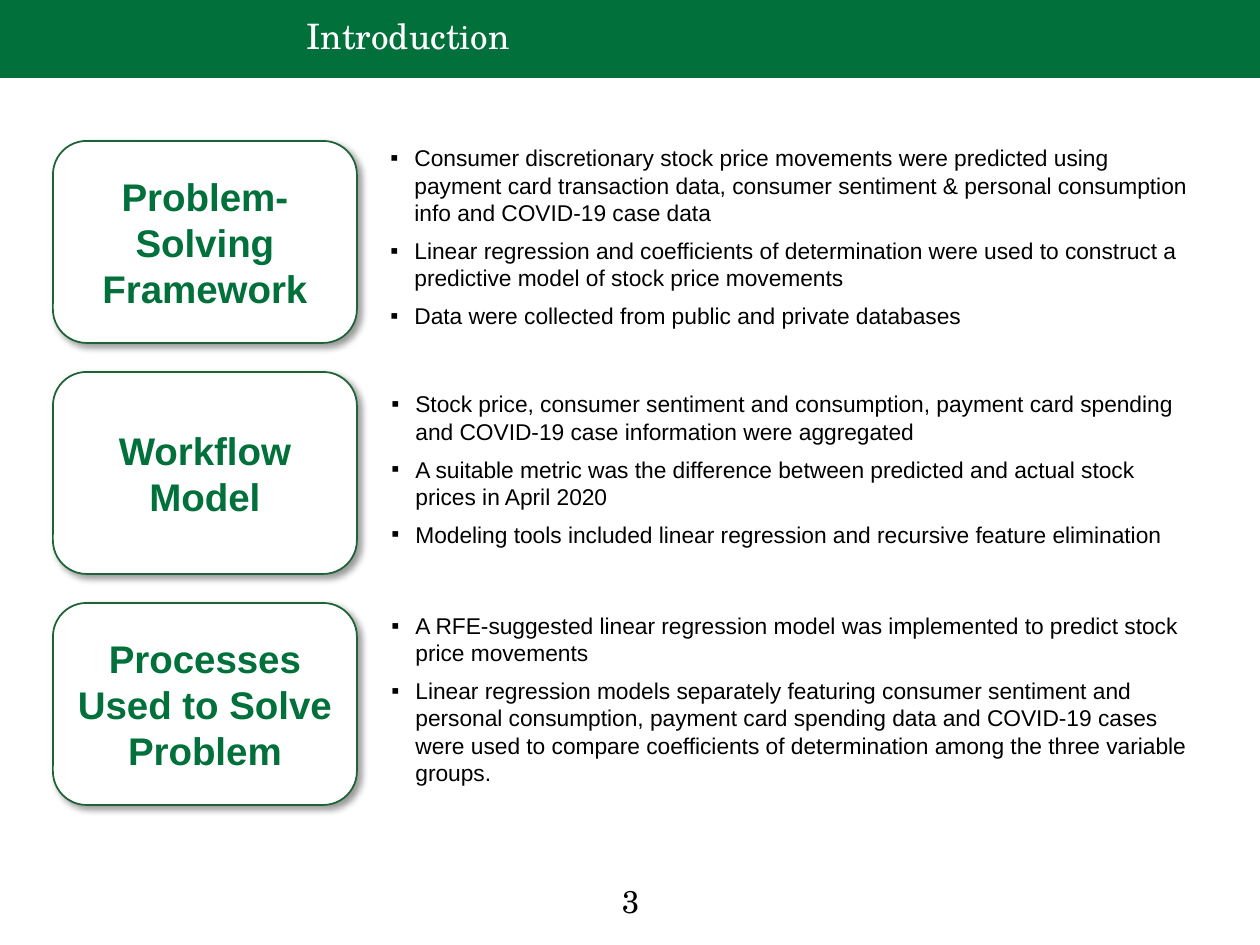
from lxml.etree import SubElement
from pptx import Presentation
from pptx.dml.color import RGBColor
from pptx.enum.shapes import MSO_SHAPE
from pptx.enum.text import MSO_ANCHOR, PP_ALIGN
from pptx.oxml.ns import qn
from pptx.util import Emu, Pt

TITLE = "Introduction"
PAGE_NUMBER = "3"
# Heading, (left, top, width, height) of its notes in px, notes
SECTIONS = [
    ("Problem-Solving Framework", (378, 150, 828, 173), [
        "Consumer discretionary stock price movements were predicted using payment card "
        "transaction data, consumer sentiment & personal consumption info and COVID-19 case data",
        "Linear regression and coefficients of determination were used to construct a "
        "predictive model of stock price movements",
        "Data were collected from public and private databases",
    ]),
    ("Workflow Model", (379, 368, 828, 202), [
        "Stock price, consumer sentiment and consumption, payment card spending and "
        "COVID-19 case information were aggregated",
        "A suitable metric was the difference between predicted and actual stock prices "
        "in April 2020",
        "Modeling tools included linear regression and recursive feature elimination",
    ]),
    ("Processes Used to Solve Problem", (379, 598, 828, 202), [
        "A RFE-suggested linear regression model was implemented to predict stock price "
        "movements",
        "Linear regression models separately featuring consumer sentiment and personal "
        "consumption, payment card spending data and COVID-19 cases were used to compare "
        "coefficients of determination among the three variable groups.",
    ]),
]

GREEN, DARK_GREEN, WHITE, BLACK = "01703B", "1E6237", "FFFFFF", "000000"
SANS, SERIF = "Arial", "TeX Gyre Schola"
CARD_LEFT, CARD_TOP, CARD_WIDTH, CARD_HEIGHT, CARD_PITCH = 53, 141, 304, 202, 231
BULLET_INDENT = 24


def px(length):
    return Emu(round(length * 914400 / 126))


def box(*lengths):
    return [px(length) for length in lengths]


def color(value):
    return RGBColor.from_string(value)


def add_run(paragraph, text, size, font, fill, bold=False):
    run = paragraph.add_run()
    run.text = text
    run.font.size, run.font.name, run.font.bold = Pt(size), font, bold
    run.font.color.rgb = color(fill)


def add_bullet(paragraph):
    properties = paragraph._p.get_or_add_pPr()
    properties.set("marL", str(px(BULLET_INDENT)))
    properties.set("indent", str(-px(BULLET_INDENT)))
    SubElement(properties, qn("a:buFont"), typeface=SANS)
    SubElement(properties, qn("a:buChar"), char="▪")


def add_shadow(shape):
    effects = SubElement(shape._element.spPr, qn("a:effectLst"))
    shadow = SubElement(effects, qn("a:outerShdw"), blurRad=str(Pt(4)), dist=str(Pt(3)),
                        dir=str(45 * 60000), algn="tl", rotWithShape="0")
    tint = SubElement(shadow, qn("a:srgbClr"), val=BLACK)
    SubElement(tint, qn("a:alpha"), val="40000")


prs = Presentation()
prs.slide_width, prs.slide_height = px(1260), px(945)
slide = prs.slides.add_slide(prs.slide_layouts[5])
shapes = slide.shapes

# Header bar, placed behind the title
header = shapes.add_shape(MSO_SHAPE.RECTANGLE, *box(0, 0, 1260, 78))
header.shadow.inherit = False
header.fill.solid()
header.fill.fore_color.rgb = color(GREEN)
header.line.fill.background()
shapes._spTree.insert(2, header._element)

# Title
title = shapes.title
title.left, title.top, title.width, title.height = box(294, 1, 966, 74)
title.text_frame.vertical_anchor = MSO_ANCHOR.MIDDLE
heading_line = title.text_frame.paragraphs[0]
heading_line.alignment = PP_ALIGN.LEFT
heading_line.line_spacing = 0.9
add_run(heading_line, TITLE, 20, SERIF, WHITE)

# Page number
page = shapes.add_textbox(*box(489, 876, 283, 50)).text_frame
page.word_wrap = True
page.paragraphs[0].alignment = PP_ALIGN.CENTER
add_run(page.paragraphs[0], PAGE_NUMBER, 18, SERIF, BLACK)

for row, (heading, notes_box, notes) in enumerate(SECTIONS):
    # Heading card
    card = shapes.add_shape(MSO_SHAPE.ROUNDED_RECTANGLE, *box(
        CARD_LEFT, CARD_TOP + row * CARD_PITCH, CARD_WIDTH, CARD_HEIGHT))
    card.fill.solid()
    card.fill.fore_color.rgb = color(WHITE)
    card.line.color.rgb = color(DARK_GREEN)
    card.line.width = Pt(1)
    add_shadow(card)
    card.text_frame.word_wrap = True
    card.text_frame.vertical_anchor = MSO_ANCHOR.MIDDLE
    card.text_frame.paragraphs[0].alignment = PP_ALIGN.CENTER
    add_run(card.text_frame.paragraphs[0], heading, 22, SANS, GREEN, bold=True)

    # Bulleted notes
    frame = shapes.add_textbox(*box(*notes_box)).text_frame
    frame.word_wrap = True
    frame.vertical_anchor = MSO_ANCHOR.MIDDLE
    for index, note in enumerate(notes):
        paragraph = frame.add_paragraph() if index else frame.paragraphs[0]
        paragraph.space_after = Pt(6)
        add_bullet(paragraph)
        add_run(paragraph, note, 13, SANS, BLACK)

prs.save("out.pptx")
